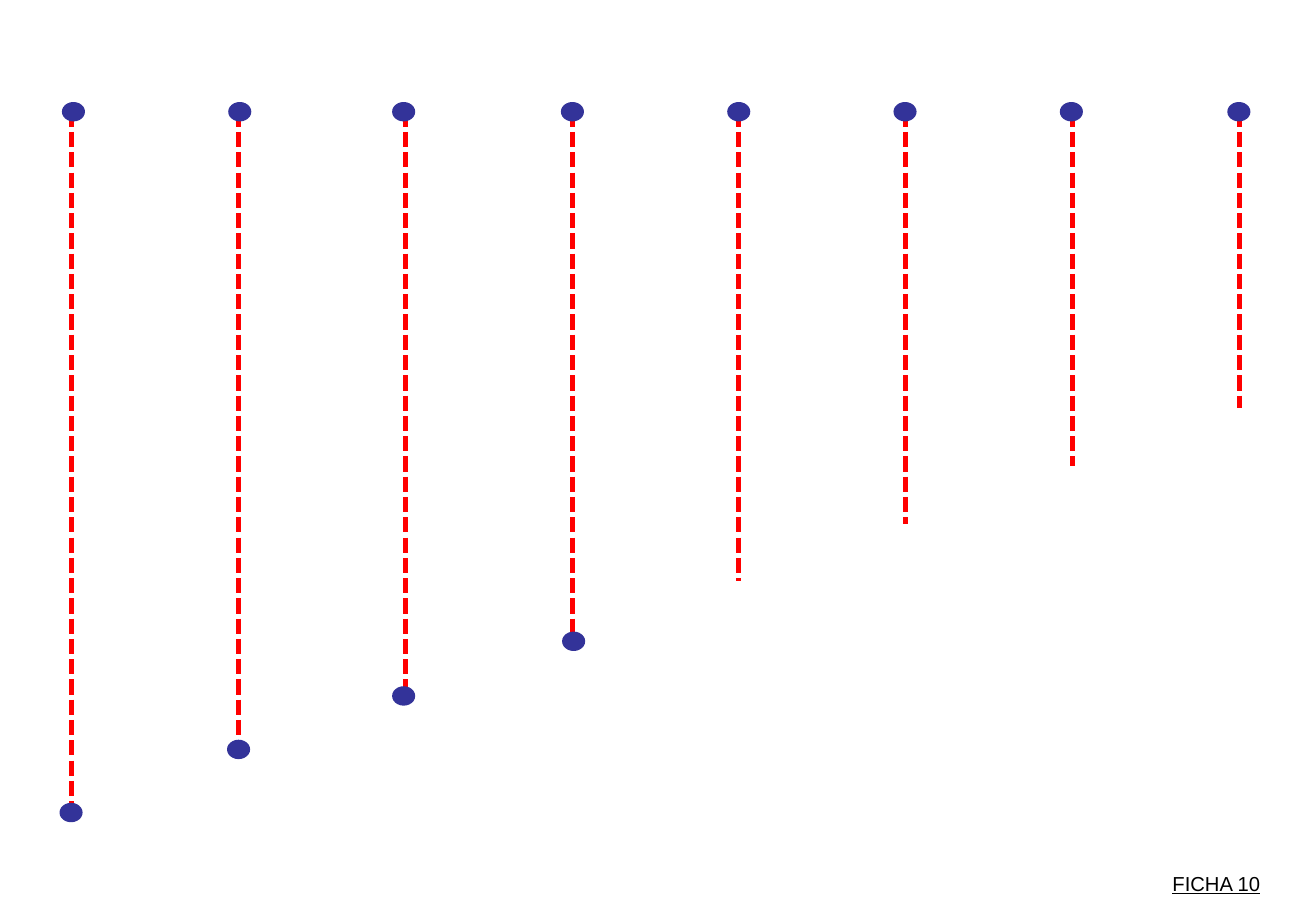
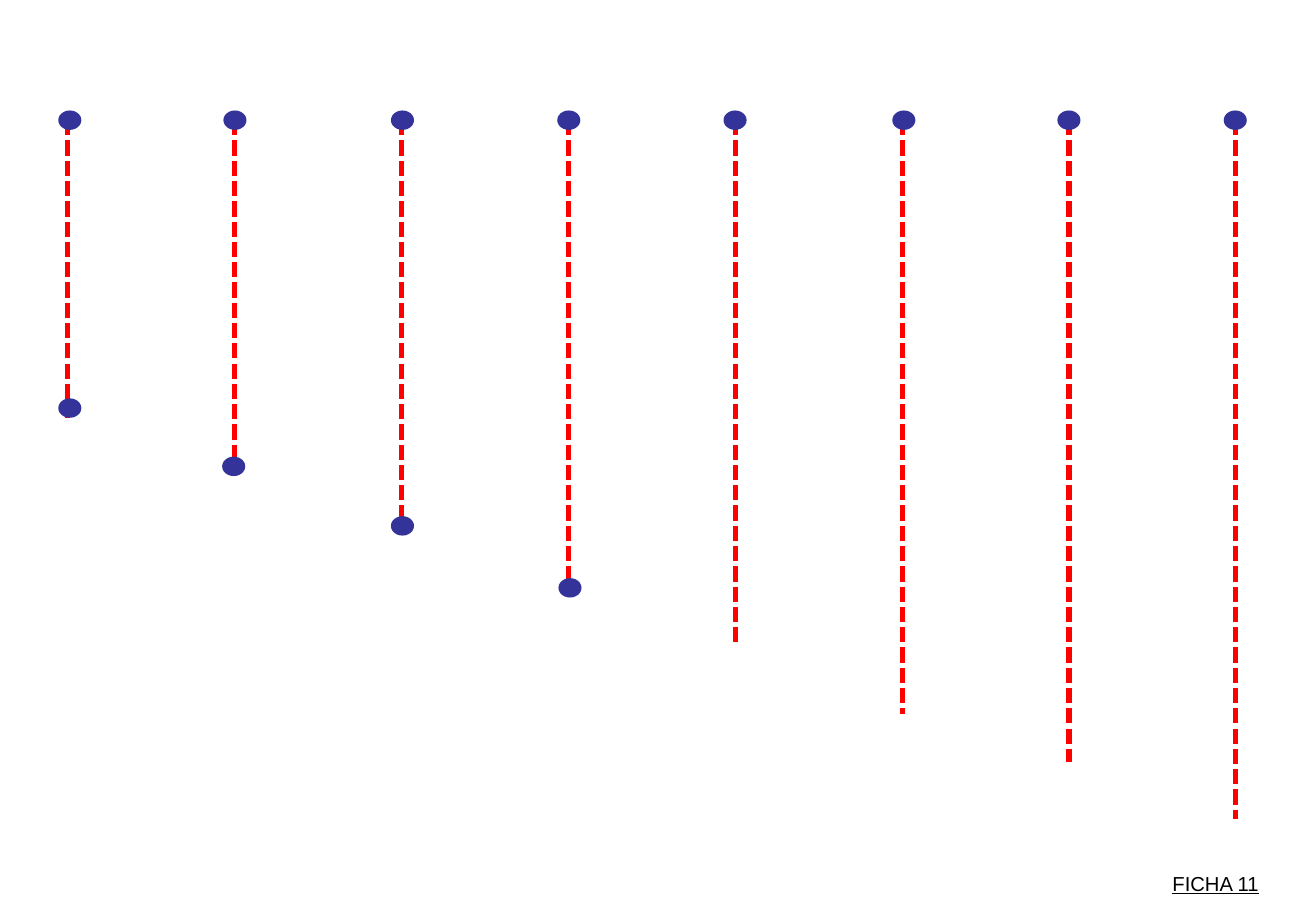
from dataclasses import dataclass

from lxml import etree
from pptx import Presentation
from pptx.dml.color import RGBColor
from pptx.enum.dml import MSO_LINE
from pptx.enum.shapes import MSO_CONNECTOR, MSO_SHAPE
from pptx.enum.text import MSO_AUTO_SIZE
from pptx.oxml.ns import qn
from pptx.util import Inches, Pt

STRAIGHT = MSO_CONNECTOR.STRAIGHT
OVAL = MSO_SHAPE.OVAL
SQUARE_DOTS = MSO_LINE.SQUARE_DOT
GROW = MSO_AUTO_SIZE.SHAPE_TO_FIT_TEXT


@dataclass(frozen=True)
class Theme:
    trace: RGBColor = RGBColor(0xFF, 0x00, 0x00)
    dot: RGBColor = RGBColor(0x33, 0x33, 0x99)
    text: RGBColor = RGBColor(0x00, 0x00, 0x00)
    font: str = "Arial"
    label_size: int = 12
    trace_width: int = 3


THEME = Theme()
DOT_WIDTH, DOT_HEIGHT = 0.19, 0.16
DOT_RISE = 0.08
LABEL_BOX = (9.56, 7.12, 1.27, 0.3)

WORKSHEETS = [
    {
        "label": "FICHA 10",
        "first_x": 0.59,
        "last_x": 10.21,
        "top": 0.92,
        "line_ends": [6.67, 6.2, 5.8, 5.25, 4.78, 4.31, 3.84, 3.36],
        "start_dots": [0.51, 1.88, 3.23, 4.62, 5.99, 7.36, 8.73, 10.11],
        "end_dots": [(0.49, 6.61), (1.87, 6.09), (3.23, 5.65), (4.63, 5.2)],
    },
    {
        "label": "FICHA 11",
        "first_x": 0.56,
        "last_x": 10.18,
        "top": 0.99,
        "line_ends": [3.44, 3.91, 4.38, 4.85, 5.32, 5.88, 6.27, 6.74],
        "start_dots": [0.48, 1.84, 3.22, 4.59, 5.96, 7.35, 8.71, 10.08],
        "end_dots": [(0.48, 3.28), (1.83, 3.76), (3.22, 4.25), (4.6, 4.76)],
    },
]


def add_trace(page, x, top, bottom):
    trace = page.shapes.add_connector(
        STRAIGHT, Inches(x), Inches(top), Inches(x), Inches(bottom)
    )
    trace.line.color.rgb = THEME.trace
    trace.line.width = Pt(THEME.trace_width)
    trace.line.dash_style = SQUARE_DOTS
    etree.SubElement(trace._element.spPr, qn("a:effectLst"))


def add_dot(page, left, top):
    dot = page.shapes.add_shape(
        OVAL, Inches(left), Inches(top), Inches(DOT_WIDTH), Inches(DOT_HEIGHT)
    )
    dot.shadow.inherit = False
    dot.fill.solid()
    dot.fill.fore_color.rgb = THEME.dot
    dot.line.fill.background()


def add_label(page, text):
    box = page.shapes.add_textbox(*map(Inches, LABEL_BOX))
    frame = box.text_frame
    frame.word_wrap = True
    frame.auto_size = GROW
    frame.text = text
    font = frame.paragraphs[0].runs[0].font
    font.name = THEME.font
    font.size = Pt(THEME.label_size)
    font.underline = True
    font.color.rgb = THEME.text


def add_worksheet(deck, sheet):
    page = deck.slides.add_slide(deck.slide_layouts[6])
    line_ends = sheet["line_ends"]
    pitch = (sheet["last_x"] - sheet["first_x"]) / (len(line_ends) - 1)
    for column, bottom in enumerate(line_ends):
        add_trace(page, sheet["first_x"] + column * pitch, sheet["top"], bottom)
    start_dots = [(left, sheet["top"] - DOT_RISE) for left in sheet["start_dots"]]
    for left, top in start_dots + sheet["end_dots"]:
        add_dot(page, left, top)
    add_label(page, sheet["label"])


def main():
    deck = Presentation()
    deck.slide_width, deck.slide_height = Inches(10.84), Inches(7.5)
    for sheet in WORKSHEETS:
        add_worksheet(deck, sheet)
    deck.save("out.pptx")


if __name__ == "__main__":
    main()
